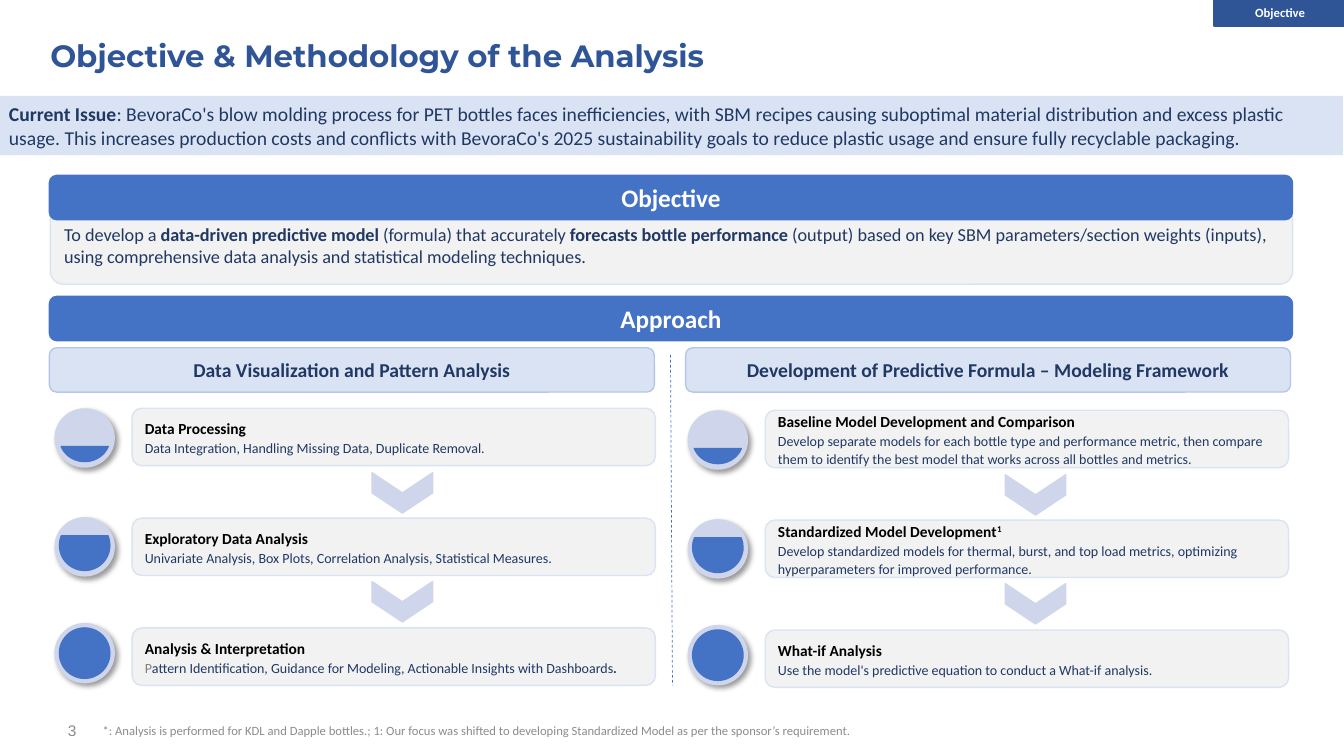
from lxml import etree
from pptx import Presentation, util as u
from pptx.dml.color import RGBColor
from pptx.enum import dml, shapes, text
from pptx.oxml.ns import qn

NAVY, BLUE, DEEP = "203864", "4472C4", "2F5597"
PALE, GREY, DISC, MUTED = "DAE3F3", "F2F2F2", "CFD5EA", "8C8C8C"
SHAPE = shapes.MSO_SHAPE
CENTER = text.PP_ALIGN.CENTER
STEP = 1.09
BALLS = [(0, 0.59, 0.06, 0.47, 70), (1.08, 0.59, 0.03, 0.5, 112), (2.13, 0.6, 0.05, 0.5, 180)]


def color(value):
    return RGBColor.from_string(value)


def fmt(size, hue=NAVY, bold=False, name="Calibri"):
    return {"size": u.Pt(size), "color": hue, "bold": bold, "name": name}


def write(sp, parts, align=None, spacing=None):
    tf = sp.text_frame
    tf.word_wrap = True
    tf.vertical_anchor = text.MSO_ANCHOR.MIDDLE
    p = tf.paragraphs[0]
    p.alignment = align or text.PP_ALIGN.LEFT
    p.line_spacing = spacing
    for part in parts:
        if part is None:
            p.add_line_break()
            continue
        words, look = part
        r = p.add_run()
        r.text = words
        for key, value in look.items():
            if key == "color":
                r.font.color.rgb = color(value)
            elif key == "baseline":
                r._r.get_or_add_rPr().set(key, value)
            else:
                setattr(r.font, key, value)


def shape(s, kind, box, fill, line=None):
    sp = s.shapes.add_shape(kind, *map(u.Inches, box))
    sp.shadow.inherit = False
    sp.fill.solid()
    sp.fill.fore_color.rgb = color(fill)
    if line:
        sp.line.color.rgb = color(line)
        sp.line.width = u.Pt(1)
    else:
        sp.line.fill.background()
    return sp


def label(s, box, parts, align=None, spacing=None, inset=0.1):
    sp = s.shapes.add_textbox(*map(u.Inches, box))
    sp.text_frame.margin_left = sp.text_frame.margin_right = u.Inches(inset)
    write(sp, parts, align, spacing)


def bar(s, box, words, size, fill, line, hue, kind=SHAPE.ROUNDED_RECTANGLE):
    write(shape(s, kind, box, fill, line), [(words, fmt(size, hue, True))], CENTER)


def add_shadow(sp):
    effects = sp._element.spPr.find(qn("a:effectLst"))
    shadow = etree.SubElement(effects, qn("a:outerShdw"), blurRad=str(u.Pt(4)),
                              dist=str(u.Pt(3)), dir="2700000", algn="tl", rotWithShape="0")
    hue = etree.SubElement(shadow, qn("a:srgbClr"), val="000000")
    etree.SubElement(hue, qn("a:alpha"), val="40000")


def progress_ball(s, x, y, height, inset, level, half_angle):
    add_shadow(shape(s, SHAPE.OVAL, (x, y, 0.6, height), DISC))
    sp = shape(s, SHAPE.CHORD, (x + 0.05, y + inset, 0.5, level), BLUE, BLUE)
    sp.adjustments[0] = (90 - half_angle) % 360 * 0.6
    sp.adjustments[1] = (90 + half_angle) * 0.6


def steps(s, x, y, items):
    for dy, height, inset, level, half_angle in BALLS:
        progress_ball(s, x, y + dy, height, inset, level, half_angle)
    for i in range(len(items) - 1):
        arrow = shape(s, SHAPE.CHEVRON, (x + 3.25, y + 0.54 + 1.08 * i, 0.4, 0.6), DISC, DISC)
        arrow.rotation = 90
    for i, parts in enumerate(items):
        card = shape(s, SHAPE.ROUNDED_RECTANGLE, (x + 0.77, y + STEP * i, 5.19, 0.57), GREY, PALE)
        write(card, parts, spacing=1.1)


def header(s, width):
    label(s, (0.4, 0.18, 12.55, 0.78),
          [("Objective & Methodology of the Analysis", fmt(22, DEEP, True, "Montserrat"))], spacing=0.9)
    banner = shape(s, SHAPE.RECTANGLE, (-0.01, 0.95, width, 0.59), PALE)
    write(banner, [
        ("Current Issue", fmt(14, bold=True)),
        (": BevoraCo's blow molding process for PET bottles faces inefficiencies, with SBM recipes "
         "causing suboptimal material distribution and excess plastic usage. This increases production "
         "costs and conflicts with BevoraCo's 2025 sustainability goals to reduce plastic usage and "
         "ensure fully recyclable packaging.", fmt(14))])
    bar(s, (12.04, -0.02, 1.31, 0.28), "Objective", 9, DEEP, DEEP, "FFFFFF", SHAPE.RECTANGLE)


def objective(s, x, y, width):
    body = shape(s, SHAPE.ROUNDED_RECTANGLE, (x + 0.01, y + 0.31, width - 0.01, 0.77), GREY, PALE)
    write(body, [
        ("To develop a ", fmt(13)),
        ("data-driven predictive model ", fmt(13, bold=True)),
        ("(formula) that accurately ", fmt(13)),
        ("forecasts bottle performance ", fmt(13, bold=True)),
        ("(output) based on key SBM parameters/section weights (inputs), using comprehensive "
         "data analysis and statistical modeling techniques.", fmt(13))])
    bar(s, (x, y, width, 0.44), "Objective", 18, BLUE, BLUE, "FFFFFF")


def approach(s, x, y, width):
    bar(s, (x, y, width, 0.44), "Approach", 18, BLUE, BLUE, "FFFFFF")
    head, body = fmt(11, "000000", True), fmt(10)
    columns = [
        (x, "Data Visualization and Pattern Analysis", x + 0.05, y + 1.11, [
            [("Data Processing", head), None,
             ("Data Integration, Handling Missing Data, Duplicate Removal.", body)],
            [("Exploratory Data Analysis", head), None,
             ("Univariate Analysis, Box Plots, Correlation Analysis, Statistical Measures.", body)],
            [("Analysis & Interpretation", head), None, ("P", fmt(10, "808080")),
             ("attern Identification, Guidance for Modeling, Actionable Insights with Dashboards", body),
             (".", fmt(10, bold=True))]]),
        (x + 6.31, "Development of Predictive Formula – Modeling Framework", x + 6.33, y + 1.13, [
            [("Baseline Model Development and Comparison", head), None,
             ("Develop separate models for each bottle type and performance metric, then compare "
              "them to identify the best model that works across all bottles and metrics.", body)],
            [("Standardized Model Development", head), ("1", {**head, "baseline": "30000"}), None,
             ("Develop standardized models for thermal, burst, and top load metrics, optimizing "
              "hyperparameters for improved performance.", body)],
            [("What-if Analysis", head), None,
             ("Use the model's predictive equation to conduct a What-if analysis.", body)]]),
    ]
    for left, title, steps_x, steps_y, items in columns:
        bar(s, (left, y + 0.51, 6, 0.44), title, 14, PALE, "B4C7E7", NAVY)
        steps(s, steps_x, steps_y, items)
    divider = s.shapes.add_connector(shapes.MSO_CONNECTOR.STRAIGHT,
                                     *map(u.Inches, (x + 6.16, y + 0.58, x + 6.18, y + 3.86)))
    divider.line.color.rgb = color(BLUE)
    divider.line.width = u.Pt(0.5)
    divider.line.dash_style = dml.MSO_LINE.DASH
    etree.SubElement(divider._element.spPr, qn("a:effectLst"))


def footer(s, x, y):
    label(s, (x, y, 0.25, 0.22), [("3", fmt(11, MUTED, name="Arial"))], CENTER, inset=0)
    label(s, (x + 0.33, y, 10.55, 0.22), [
        ("*: Analysis is performed for KDL and Dapple bottles.; 1: Our focus was shifted to developing "
         "Standardized Model as per the sponsor’s requirement.", fmt(9, MUTED))])


def main():
    prs = Presentation()
    prs.slide_width, prs.slide_height = u.Inches(13.33), u.Inches(7.5)
    s = prs.slides.add_slide(prs.slide_layouts[6])
    header(s, 13.33)
    objective(s, 0.49, 1.74, 12.33)
    approach(s, 0.49, 2.94, 12.33)
    footer(s, 0.59, 7.14)
    prs.save("out.pptx")


if __name__ == "__main__":
    main()
